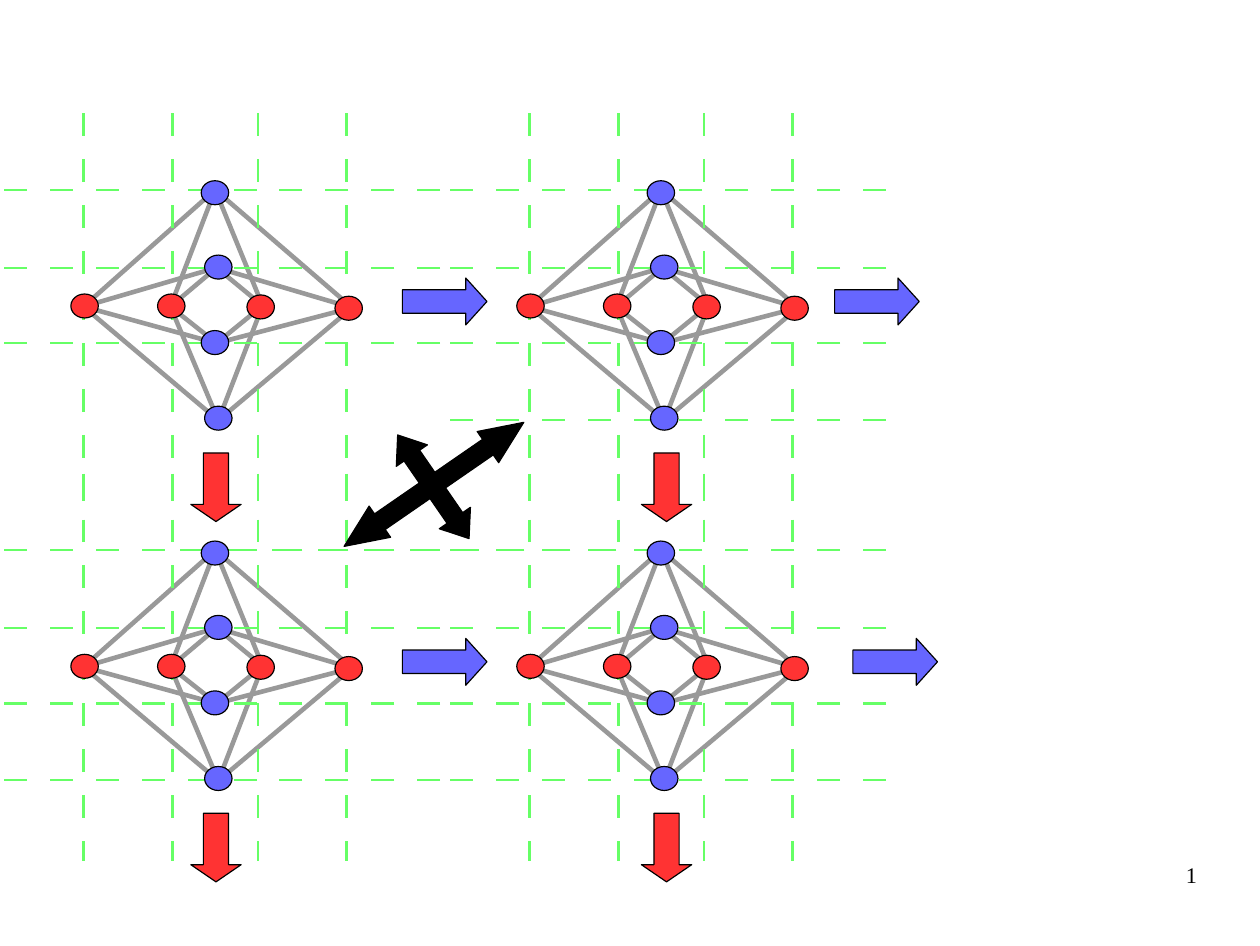
from dataclasses import dataclass
from itertools import product

from lxml.etree import SubElement
from pptx import Presentation
from pptx.dml.color import RGBColor
from pptx.enum.shapes import MSO_CONNECTOR, MSO_SHAPE
from pptx.enum.text import MSO_ANCHOR, PP_ALIGN
from pptx.oxml.ns import qn
from pptx.util import Pt

BLUE, RED, GREEN, GRAY, BLACK = "6666FF", "FF3333", "66FF66", "999999", "000000"
CELL_DX, CELL_DY = 280.8, 226.8
DOT_W, DOT_H = 17.3, 15.1


@dataclass(frozen=True)
class Node:
    x: float  # centre of the dot
    y: float
    end_x: float  # where its edges meet
    end_y: float


@dataclass(frozen=True)
class Arrow:
    kind: MSO_SHAPE
    x: float
    y: float
    w: float
    h: float
    head: float
    color: str
    rotation: float = 0


# Layout of the first cell; the others are shifted
BLUE_NODES = [
    Node(135.4, 121.3, 135.5, 119.5),
    Node(137.5, 168.1, 136.4, 168.5),
    Node(135.4, 215.6, 136.4, 216),
    Node(137.5, 263.2, 137.5, 264.6),
]
RED_NODES = [
    Node(53.3, 192.6, 52.6, 193),
    Node(107.9, 192.6, 107.3, 193),
    Node(164.2, 193.2, 165.4, 192.4),
    Node(219.6, 194, 221.8, 193.7),
]
GRID_X = [52.6, 108.7, 162.7, 218.2]
GRID_Y = [119.5, 168.5, 216, 264.2]
GRID_TOP, GRID_BOTTOM = 71.3, 315.4
GRID_LEFT, GRID_RIGHT = -3.6, 277.2
CELLS = list(product(range(2), repeat=2))


def right_arrow(x: float, y: float) -> Arrow:
    return Arrow(MSO_SHAPE.RIGHT_ARROW, x, y, 53.3, 29.5, 0.452, BLUE)


def down_arrow(x: float, y: float) -> Arrow:
    return Arrow(MSO_SHAPE.DOWN_ARROW, x, y, 31.7, 43.2, 0.341, RED)


ARROWS = [
    *(right_arrow(x, y) for x, y in
      [(253.4, 175), (253.4, 401.8), (525.6, 175), (537.1, 401.8)]),
    *(down_arrow(x, y) for x, y in product((120.2, 403.9), (285.1, 511.9))),
    Arrow(MSO_SHAPE.LEFT_RIGHT_ARROW, 204.5, 293, 137.5, 23.8, 1.152, BLACK, 325.4),
    Arrow(MSO_SHAPE.LEFT_RIGHT_ARROW, 233.3, 294.5, 79.2, 23.8, 0.661, BLACK, 235.4),
]

prs = Presentation()
prs.slide_width, prs.slide_height = Pt(793.44), Pt(595.44)
s = prs.slides.add_slide(prs.slide_layouts[6])


def rgb(color: str) -> RGBColor:
    return RGBColor.from_string(color)


def add_line(x1: float, y1: float, x2: float, y2: float, color: str, width: float):
    line = s.shapes.add_connector(
        MSO_CONNECTOR.STRAIGHT, Pt(x1), Pt(y1), Pt(x2), Pt(y2))
    line.line.color.rgb = rgb(color)
    line.line.width = Pt(width)
    SubElement(line._element.spPr, qn("a:effectLst"))
    return line


def add_edge(a: Node, b: Node, dx: float, dy: float) -> None:
    add_line(a.end_x + dx, a.end_y + dy, b.end_x + dx, b.end_y + dy, GRAY, 2.89)


def add_grid_line(x1: float, y1: float, x2: float, y2: float) -> None:
    line = add_line(x1, y1, x2, y2, GREEN, 1.45)
    ln = line.line._get_or_add_ln()
    dashes = SubElement(ln, qn("a:custDash"))
    SubElement(dashes, qn("a:ds"), d="1000000", sp="1000000")


def add_filled(kind: MSO_SHAPE, x: float, y: float, w: float, h: float, color: str):
    sp = s.shapes.add_shape(kind, Pt(x), Pt(y), Pt(w), Pt(h))
    sp.shadow.inherit = False
    sp.fill.solid()
    sp.fill.fore_color.rgb = rgb(color)
    sp.line.color.rgb = rgb(BLACK)
    sp.line.width = Pt(0)
    return sp


def add_dot(node: Node, dx: float, dy: float, color: str) -> None:
    add_filled(MSO_SHAPE.OVAL, node.x - DOT_W / 2 + dx, node.y - DOT_H / 2 + dy,
               DOT_W, DOT_H, color)


def add_arrow(arrow: Arrow) -> None:
    sp = add_filled(arrow.kind, arrow.x, arrow.y, arrow.w, arrow.h, arrow.color)
    sp.adjustments[0], sp.adjustments[1] = 0.5, arrow.head
    sp.rotation = arrow.rotation


# Edges and dashed grid of each cell
for row, col in CELLS:
    dx, dy = col * CELL_DX, row * CELL_DY
    for red, blue in product(RED_NODES, BLUE_NODES):
        add_edge(red, blue, dx, dy)
    for x in GRID_X:
        add_grid_line(x + dx, GRID_TOP + dy, x + dx, GRID_BOTTOM + dy)
    # The top left cell has no lowest grid line
    for y in GRID_Y if row or col else GRID_Y[:-1]:
        add_grid_line(GRID_RIGHT + dx, y + dy, GRID_LEFT + dx, y + dy)

# Grid line that bridges the two lower cells
add_grid_line(388.1, 346.3, 107.3, 346.3)

# Dots
for row, col in CELLS:
    for nodes, color in ((BLUE_NODES, BLUE), (RED_NODES, RED)):
        for node in nodes:
            add_dot(node, col * CELL_DX, row * CELL_DY, color)

# Arrows
for arrow in ARROWS:
    add_arrow(arrow)

# Page number
tf = s.shapes.add_textbox(Pt(568.8), Pt(542.2), Pt(185), Pt(41)).text_frame
frame_format = {
    "word_wrap": True, "vertical_anchor": MSO_ANCHOR.TOP,
    "margin_left": 0, "margin_right": 0, "margin_top": 0, "margin_bottom": 0,
}
for name, value in frame_format.items():
    setattr(tf, name, value)
p = tf.paragraphs[0]
p.alignment = PP_ALIGN.RIGHT
r = p.add_run()
r.text = "1"
for name, value in {"name": "Times New Roman", "size": Pt(14)}.items():
    setattr(r.font, name, value)
r.font.color.rgb = rgb(BLACK)

prs.save("out.pptx")
